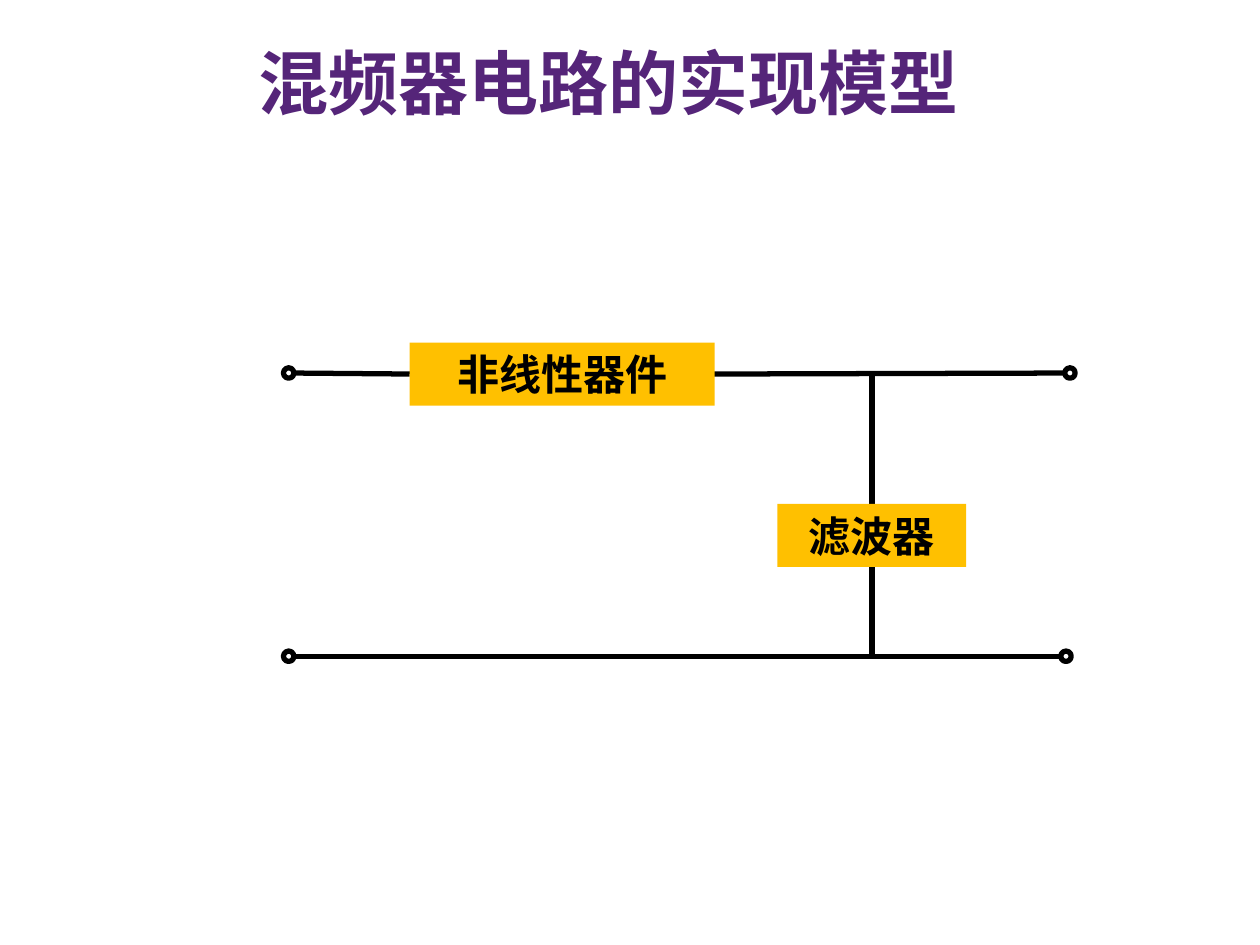
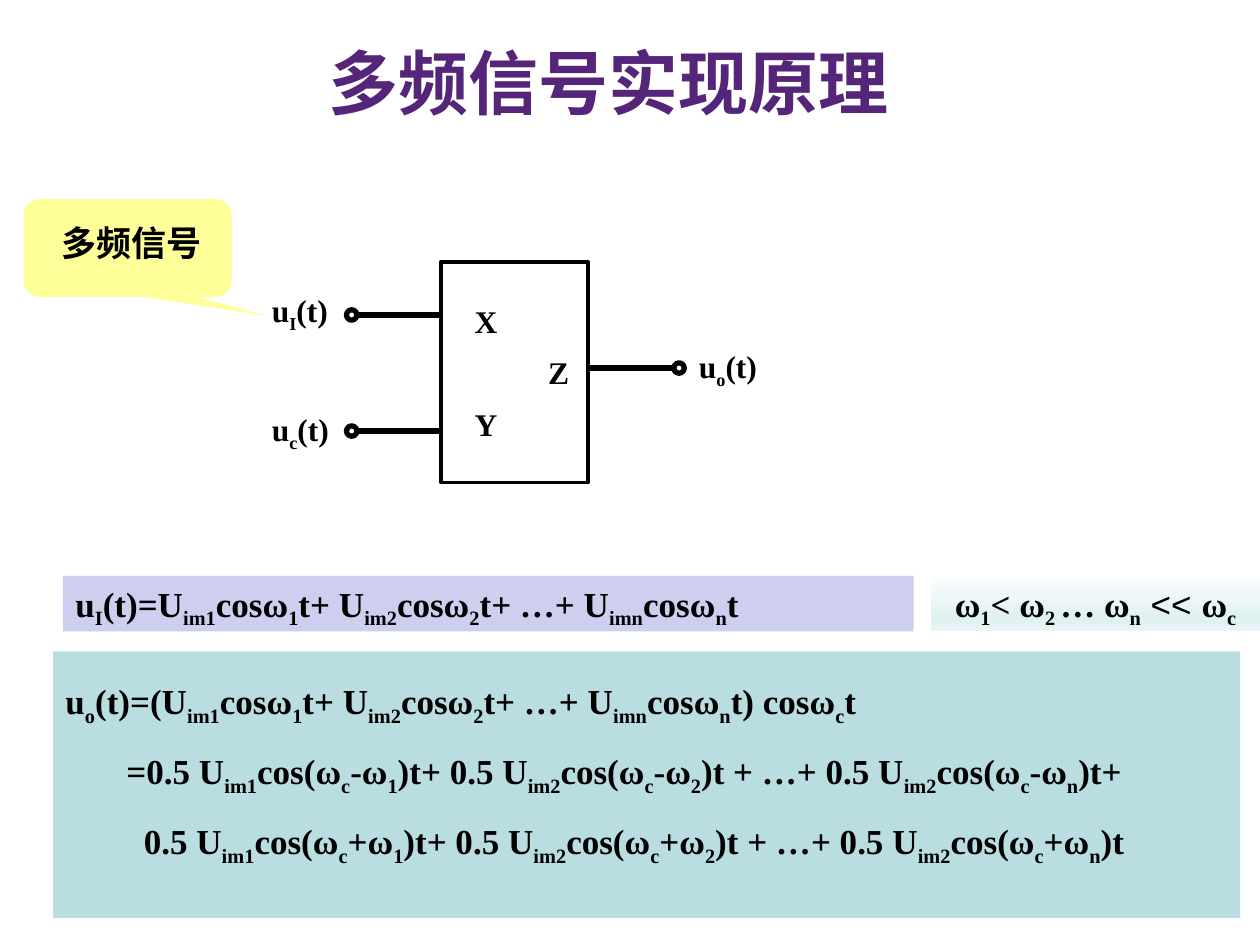
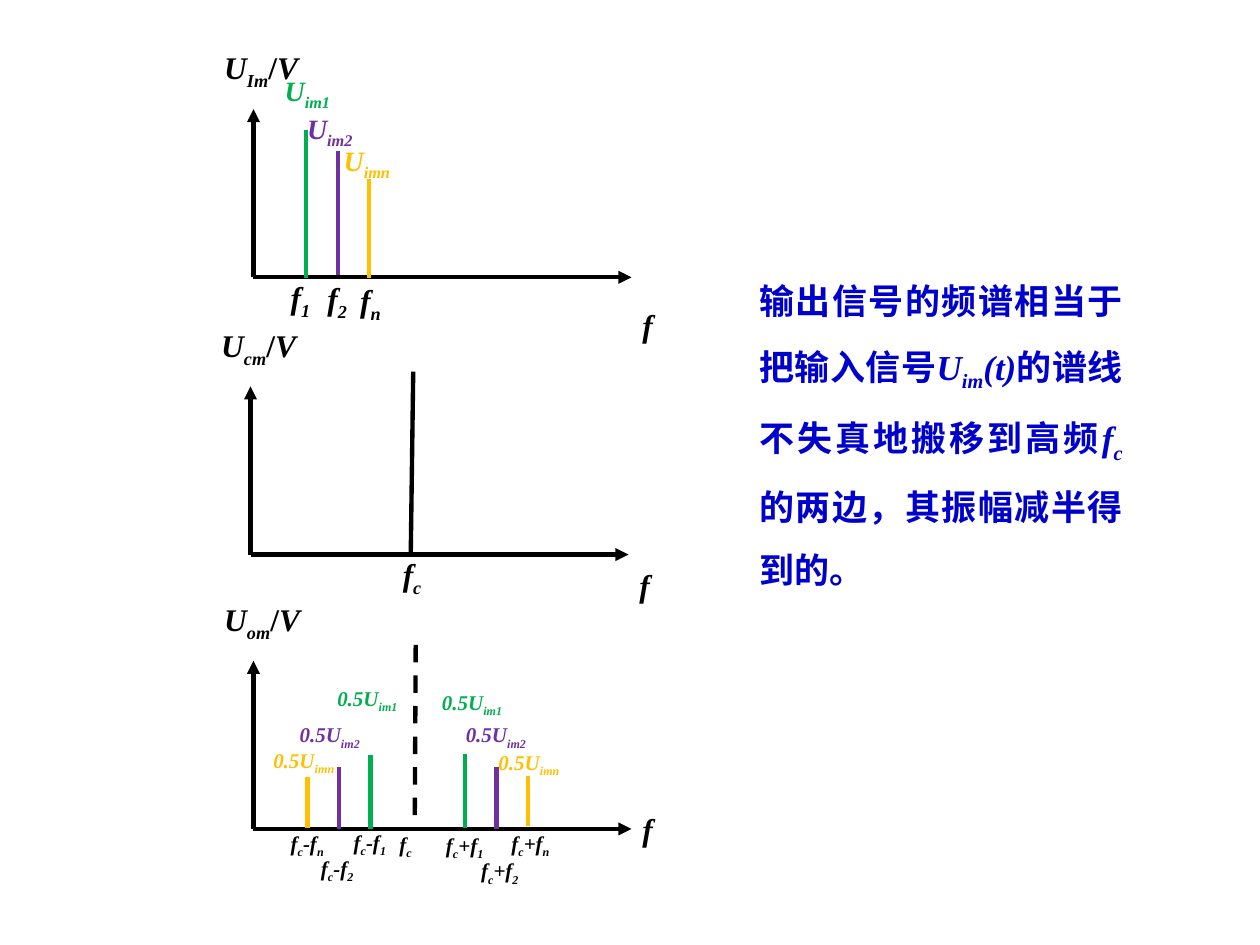
from lxml import etree
from pptx import Presentation
from pptx.dml.color import RGBColor
from pptx.enum.dml import MSO_LINE
from pptx.enum.shapes import MSO_CONNECTOR, MSO_SHAPE
from pptx.enum.text import MSO_ANCHOR, PP_ALIGN
from pptx.oxml.ns import qn
from pptx.util import Cm, Pt

RECTANGLE = MSO_SHAPE.RECTANGLE
ELLIPSE = MSO_SHAPE.OVAL
CALLOUT = MSO_SHAPE.ROUNDED_RECTANGULAR_CALLOUT
STRAIGHT = MSO_CONNECTOR.STRAIGHT
DASH = MSO_LINE.DASH
LEFT, CENTER, JUSTIFY = PP_ALIGN.LEFT, PP_ALIGN.CENTER, PP_ALIGN.JUSTIFY
TOP, MIDDLE = MSO_ANCHOR.TOP, MSO_ANCHOR.MIDDLE

LATIN_FONT = "Times New Roman"
CHINESE_FONT = "Noto Sans CJK SC"
COLORS = {
    "white": "FFFFFF",
    "black": "000000",
    "title": "552579",
    "note": "0000CC",
    "amber": "FFC000",
    "green": "00B050",
    "purple": "7030A0",
    "lavender": "CECEEF",
    "teal": "BADDE1",
    "yellow": "FFFF99",
}
TITLE_BOUNDS = (1.45, 0.05, 21.64, 3.18)
TITLE_STYLE = {"size": 40, "color": "title", "font_name": CHINESE_FONT,
               "align": CENTER, "anchor": MIDDLE}
TERMINAL_SIZE = 0.21


def add_box(slide, bounds, text="", kind=None, fill=None, outline=None, size=18,
            color="black", font_name=LATIN_FONT, italic=False, align=LEFT,
            anchor=TOP, line_spacing=None):
    """Add a text box, or a shape of the given kind; [..] is subscript, |..| flips italic."""
    lengths = [Cm(value) for value in bounds]
    if kind is None:
        shape = slide.shapes.add_textbox(*lengths)
    else:
        shape = slide.shapes.add_shape(kind, *lengths)
        shape.shadow.inherit = False
        shape.fill.solid()
        shape.fill.fore_color.rgb = RGBColor.from_string(COLORS[fill])
        if outline:
            shape.line.color.rgb = RGBColor.from_string(COLORS["black"])
            shape.line.width = Pt(outline)
        else:
            shape.line.fill.background()
    if not text:
        return shape
    frame = shape.text_frame
    frame.word_wrap = True
    frame.vertical_anchor = anchor
    for index, line in enumerate(text.split("\n")):
        paragraph = frame.add_paragraph() if index else frame.paragraphs[0]
        paragraph.alignment = align
        paragraph.line_spacing = line_spacing
        for part_index, part in enumerate(line.split("|")):
            slanted = italic != (part_index % 2 == 1)
            for piece_index, piece in enumerate(part.replace("]", "[").split("[")):
                if not piece:
                    continue
                run = paragraph.add_run()
                run.text = piece
                run.font.color.rgb = RGBColor.from_string(COLORS[color])
                run_format = {"name": font_name, "size": Pt(size), "bold": True, "italic": slanted}
                for name, value in run_format.items():
                    setattr(run.font, name, value)
                properties = run._r.get_or_add_rPr()
                etree.SubElement(properties, qn("a:ea")).set("typeface", CHINESE_FONT)
                if piece_index % 2:
                    properties.set("baseline", "-25000")
    return shape


def add_line(slide, start, end, width=2.5, color="black", arrow=False, dash=None):
    connector = slide.shapes.add_connector(STRAIGHT, *[Cm(value) for value in (*start, *end)])
    connector.line.color.rgb = RGBColor.from_string(COLORS[color])
    connector.line.width = Pt(width)
    if dash:
        connector.line.dash_style = dash
    properties = connector._element.spPr
    if arrow:
        etree.SubElement(properties.find(qn("a:ln")), qn("a:tailEnd")).set("type", "triangle")
    etree.SubElement(properties, qn("a:effectLst"))


presentation = Presentation()
presentation.slide_width = Cm(25.4)
presentation.slide_height = Cm(19.05)
blank_layout = presentation.slide_layouts[6]
circuit, multiplier, spectrum = [presentation.slides.add_slide(blank_layout) for _ in range(3)]

# Titles, wires and terminals of the two circuit slides
add_box(circuit, TITLE_BOUNDS, "混频器电路的实现模型", **TITLE_STYLE)
add_box(multiplier, TITLE_BOUNDS, "多频信号实现原理", **TITLE_STYLE)

add_box(multiplier, (8.89, 5.28, 2.97, 4.45), kind=RECTANGLE, fill="white", outline=2)
wires = [
    (circuit, (5.92, 7.52), (8.26, 7.54)),
    (circuit, (14.38, 7.54), (21.49, 7.52)),
    (circuit, (5.92, 13.23), (21.39, 13.23)),
    (circuit, (17.58, 7.54), (17.58, 10.16)),
    (circuit, (17.58, 11.43), (17.58, 13.23)),
    (multiplier, (8.89, 6.35), (7.19, 6.35)),
    (multiplier, (8.89, 8.69), (7.19, 8.69)),
    (multiplier, (13.54, 7.42), (11.86, 7.42)),
]
for slide, start, end in wires:
    add_line(slide, start, end, width=3)

terminals = [
    (circuit, 5.82, 7.52), (circuit, 21.57, 7.52),
    (circuit, 5.82, 13.23), (circuit, 21.49, 13.23),
    (multiplier, 7.09, 6.35), (multiplier, 7.09, 8.69), (multiplier, 13.69, 7.42),
]
for slide, center_x, center_y in terminals:
    bounds = (center_x - TERMINAL_SIZE / 2, center_y - TERMINAL_SIZE / 2,
              TERMINAL_SIZE, TERMINAL_SIZE)
    add_box(slide, bounds, kind=ELLIPSE, fill="white", outline=3)

# Slide 1: components
for text, bounds in [("非线性器件", (8.26, 6.91, 6.15, 1.27)),
                     ("滤波器", (15.67, 10.16, 3.81, 1.27))]:
    add_box(circuit, bounds, text, kind=RECTANGLE, fill="amber", size=24,
            font_name="Arial", align=CENTER)

# Slide 2: port names, signals and formulas
port_labels = [
    ("X", 9.32, 5.97, 1.07), ("Y", 9.32, 8.05, 1.07), ("Z", 10.8, 6.99, 1.07),
    ("u[I](t)", 5.23, 5.74, 1.96), ("u[c](t)", 5.23, 8.15, 1.96), ("u[o](t)", 13.84, 6.88, 1.96),
]
for text, left, top, width in port_labels:
    add_box(multiplier, (left, top, width, 1.02), text)

input_sum = "U[im1]cosω[1]t+ U[im2]cosω[2]t+ …+ U[imn]cosω[n]t"
add_box(multiplier, (1.27, 11.61, 17.15, 1.12), "u[I](t)=" + input_sum,
        kind=RECTANGLE, fill="lavender", size=20)

condition = add_box(multiplier, (18.77, 11.61, 6.63, 1.12), "ω[1]< ω[2 ]… ω[n]| << |ω[c]",
                    kind=RECTANGLE, fill="white", size=20, align=CENTER)
for run in condition.text_frame.paragraphs[0].runs:
    if "<<" in run.text:
        for name, value in {"name": "Arial", "bold": False, "italic": False}.items():
            setattr(run.font, name, value)
condition.fill.gradient()
condition.fill.gradient_angle = 270
stop_list = condition._element.spPr.find(qn("a:gradFill")).find(qn("a:gsLst"))
for stop in list(stop_list):
    stop_list.remove(stop)
for percent, color in [(0, "FCFDFE"), (74, "E0F1F2"), (83, "E0F1F2"), (100, "EBF6F7")]:
    stop = etree.SubElement(stop_list, qn("a:gs"), pos=str(percent * 1000))
    etree.SubElement(stop, qn("a:srgbClr"), val=color)

sideband = ("0.5 U[im1]cos(ω[c]{0}ω[1])t+ 0.5 U[im2]cos(ω[c]{0}ω[2])t + …"
            "+ 0.5 U[im2]cos(ω[c]{0}ω[n])t")
output_lines = [
    f"u[o](t)=({input_sum}) cosω[c]t",
    "=" + sideband.format("-") + "+",
    sideband.format("+"),
]
output = add_box(multiplier, (1.07, 13.13, 23.93, 5.38), "\n".join(output_lines),
                 kind=RECTANGLE, fill="teal", size=20, line_spacing=Pt(40))
for paragraph, indent in zip(output.text_frame.paragraphs, (0, 1.23, 1.58)):
    paragraph._p.get_or_add_pPr().set("marL", str(Cm(indent)))

callout = add_box(multiplier, (0.48, 4.01, 4.19, 1.98), kind=CALLOUT, fill="yellow")
for index, value in enumerate((0.674, 0.692, 0.167)):
    callout.adjustments[index] = value
add_box(multiplier, (0.99, 4.34, 3.68, 1.12), "多频信号", size=20, font_name=CHINESE_FONT)

# Slide 3: axes, spectral lines and labels
graphs = [
    ("U[Im]|/|V", 5.11, 5.59, 0.46),
    ("U[cm]|/|V", 5.05, 11.18, 0.1),
    ("U[om]|/|V", 5.11, 16.71, -0.51),
]
for text, origin_x, origin_y, name_offset in graphs:
    origin = (origin_x, origin_y)
    add_line(spectrum, origin, (origin_x + 7.62, origin_y), arrow=True)
    add_line(spectrum, origin, (origin_x, origin_y - 3.39), arrow=True)
    add_box(spectrum, (origin_x - 0.84, origin_y - 4.74, 2.97, 1.02), text, italic=True)
    add_box(spectrum, (origin_x + 7.59, origin_y + name_offset, 2.97, 1.02), "f", italic=True)

spectral_lines = [
    ("green", 6.17, 2.62, 5.61), ("purple", 6.81, 3.05, 5.54), ("amber", 7.44, 3.61, 5.61),
    ("green", 7.47, 15.21, 16.71), ("purple", 6.83, 15.47, 16.71), ("amber", 6.2, 15.67, 16.69),
    ("green", 9.37, 15.19, 16.69), ("purple", 10.01, 15.47, 16.71), ("amber", 10.64, 15.65, 16.66),
]
for color, x, top, bottom in spectral_lines:
    add_line(spectrum, (x, top), (x, bottom), color=color)
add_line(spectrum, (8.33, 7.49), (8.28, 11.18))
add_line(spectrum, (8.38, 13), (8.36, 16.71), dash=DASH)

# Each group: text size, box height, then (text, colour, left, top, width)
label_groups = [
    (18, 1.02, [
        ("f[1]", "black", 5.61, 5.49, 1.17),
        ("f[2]", "black", 6.35, 5.51, 1.17),
        ("f[n]", "black", 7.01, 5.54, 1.17),
        ("f[c]", "black", 7.87, 11.07, 1.17),
    ]),
    (16, 0.94, [
        ("U[im1]", "green", 5.49, 1.35, 1.7),
        ("U[im2]", "purple", 5.94, 2.13, 1.7),
        ("U[imn]", "amber", 6.68, 2.77, 1.7),
    ]),
    (12, 0.76, [
        ("0.5U[im1]", "green", 8.66, 13.77, 2.77),
        ("0.5U[im2]", "purple", 9.14, 14.43, 2.54),
        ("0.5U[imn]", "amber", 9.8, 14.99, 2.39),
        ("0.5U[im1]", "green", 6.55, 13.69, 2.77),
        ("0.5U[im2]", "purple", 5.79, 14.43, 2.54),
        ("0.5U[imn]", "amber", 5.26, 14.94, 2.39),
        ("f[c]", "black", 7.8, 16.64, 1.17),
        ("f[c]-f[1]", "black", 6.88, 16.59, 1.3),
        ("f[c]-f[n]", "black", 5.61, 16.61, 1.85),
        ("f[c]-f[2]", "black", 6.22, 17.12, 1.85),
        ("f[c]+f[1]", "black", 8.74, 16.66, 1.68),
        ("f[c]+f[n]", "black", 10.06, 16.61, 1.85),
        ("f[c]+f[2]", "black", 9.45, 17.17, 1.85),
    ]),
]
for size, height, labels in label_groups:
    for text, color, left, top, width in labels:
        add_box(spectrum, (left, top, width, height), text, size=size, color=color, italic=True)

conclusion = ("输出信号的频谱相当于把输入信号|U[im](t)|的谱线不失真地搬移到高频"
              "|f[c]|的两边，其振幅减半得到的。")
add_box(spectrum, (15.06, 5.08, 7.82, 6.68), conclusion, size=20, color="note",
        align=JUSTIFY, line_spacing=1.5)

presentation.save("out.pptx")
